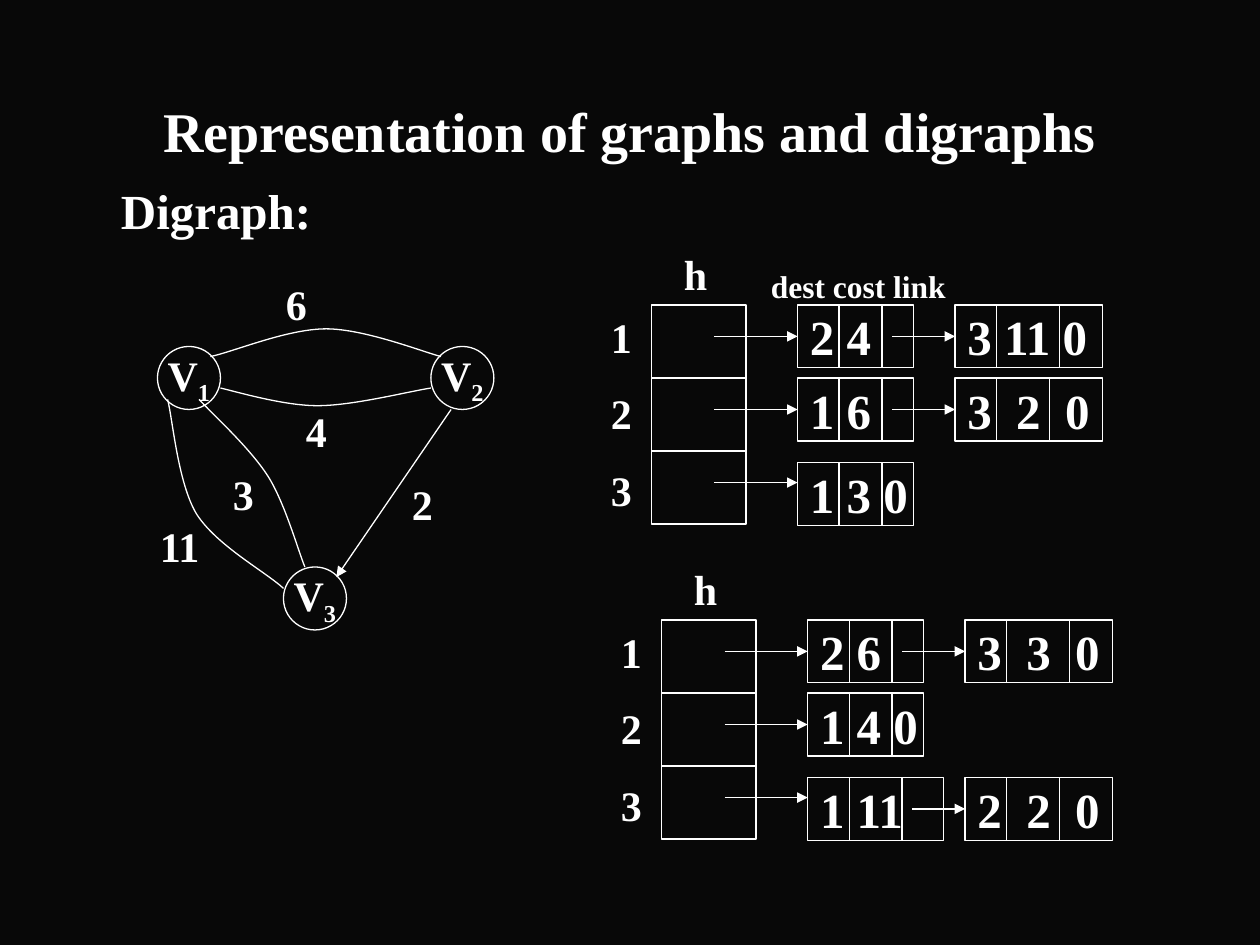
from lxml import etree
from pptx import Presentation, util as u
from pptx.dml import color
from pptx.enum import shapes, text as t
from pptx.oxml import ns

WHITE = "FFFFFF"
BLACK = "080808"
FONT = "Times New Roman"
NODE = 0.5
CELL_WIDTH, CELL_HEIGHT = 0.75, 0.58
ROW_TOPS = (0.5, 1.08, 1.75)
COLUMN_LEFTS = (1.58, 2.83)
NARROW, MEDIUM, WIDE = 0.92, 1.08, 1.17


def rgb(value):
    """Turn a hex string into a colour."""
    return color.RGBColor.from_string(value)


def add_child(parent, tag, **attributes):
    """Append a drawing element to an XML parent."""
    return etree.SubElement(parent, ns.qn(tag), attributes)


def write(frame, content, size=24, align=t.PP_ALIGN.LEFT, anchor=t.MSO_ANCHOR.TOP,
          gap=0, wrap=True, subscript="", tracking=0, margins=(0.1, 0.05, 0, 0.05)):
    """Fill a text frame with bold lines in one format."""
    frame.word_wrap = wrap
    frame.auto_size = t.MSO_AUTO_SIZE.NONE
    frame.vertical_anchor = anchor
    (frame.margin_left, frame.margin_top,
     frame.margin_right, frame.margin_bottom) = map(u.Inches, margins)
    for index, line in enumerate(content.split("\n")):
        paragraph = frame.paragraphs[0] if index == 0 else frame.add_paragraph()
        paragraph.alignment = align
        paragraph.space_before = u.Pt(gap if index else 0)
        properties = paragraph._p.get_or_add_pPr()
        properties.set("marL", "0")
        properties.set("indent", "0")
        add_child(properties, "a:buNone")
        for part in filter(None, (line, subscript)):
            run = paragraph.add_run()
            run.text = part
            run.font.name = FONT
            run.font.size = u.Pt(size)
            run.font.bold = True
            run.font.color.rgb = rgb(WHITE)
            if tracking:
                run._r.get_or_add_rPr().set("spc", str(int(tracking * 100)))
        if subscript:
            run._r.get_or_add_rPr().set("baseline", "-25000")


def place(shape, left, top, width, height):
    """Move and size a shape."""
    shape.left, shape.top, shape.width, shape.height = map(
        u.Inches, (left, top, width, height))


def add_label(slide, left, top, width, content, height=0.5, **style):
    """Add a text box."""
    box = slide.shapes.add_textbox(*map(u.Inches, (left, top, width, height)))
    write(box.text_frame, content, **style)


def outline(shape):
    """Give a shape a thin white outline only."""
    shape.shadow.inherit = False
    shape.fill.background()
    shape.line.color.rgb = rgb(WHITE)
    shape.line.width = u.Pt(0.75)


def add_outline(slide, kind, left, top, width, height):
    """Add an unfilled preset shape."""
    shape = slide.shapes.add_shape(kind, *map(u.Inches, (left, top, width, height)))
    outline(shape)
    return shape


def add_line(slide, start, end, arrow=False):
    """Add a straight line, with an arrowhead at its end if wanted."""
    line = slide.shapes.add_connector(
        shapes.MSO_CONNECTOR.STRAIGHT, *map(u.Inches, (*start, *end)))
    line.line.color.rgb = rgb(WHITE)
    line.line.width = u.Pt(0.75)
    if arrow:
        add_child(line.line._get_or_add_ln(), "a:tailEnd", type="triangle")
    add_child(line._element.spPr, "a:effectLst")


def add_curve(slide, left, top, controls):
    """Draw a chain of cubic curves through its control points."""
    start, *points = [(u.Inches(left + x), u.Inches(top + y)) for x, y in controls]
    builder = slide.shapes.build_freeform(*start)
    builder.add_line_segments(points, close=False)
    shape = builder.convert_to_shape()
    segments = list(shape._element.iter(ns.qn("a:lnTo")))
    outline_path = segments[0].getparent()
    for first in range(0, len(segments), 3):
        curve = add_child(outline_path, "a:cubicBezTo")
        for segment in segments[first:first + 3]:
            curve.append(segment[0])
            outline_path.remove(segment)
    outline(shape)


def add_digraph(slide, left, top):
    """Draw the weighted digraph."""
    vertices = ((0, 0.5), (2.17, 0.5), (1, 2.25))
    edges = (
        ((0.5, 0.83), (0.63, 0.86), (1, 0.97), (1.27, 0.97),
         (1.55, 0.97), (1.98, 0.86), (2.17, 0.83)),
        ((2.25, 0.58), (2.1, 0.54), (1.64, 0.36), (1.34, 0.36),
         (1.03, 0.36), (0.61, 0.54), (0.42, 0.58)),
        ((0.08, 0.92), (0.12, 1.07), (0.16, 1.58), (0.31, 1.83),
         (0.47, 2.08), (0.86, 2.29), (1, 2.42)),
        ((1.17, 2.25), (1.12, 2.13), (1.02, 1.77), (0.89, 1.55),
         (0.75, 1.32), (0.45, 1.05), (0.33, 0.92)),
    )
    costs = (("11", -0.08, 1.83), ("3", 0.5, 1.42), ("4", 1.08, 0.92),
             ("6", 0.92, -0.09), ("2", 1.92, 1.5))
    for number, (x, y) in enumerate(vertices, 1):
        vertex = add_outline(slide, shapes.MSO_SHAPE.OVAL, left + x, top + y, NODE, NODE)
        write(vertex.text_frame, "V", subscript=str(number), wrap=False,
              align=t.PP_ALIGN.CENTER, anchor=t.MSO_ANCHOR.MIDDLE,
              margins=(0.1, 0.05, 0.1, 0.05))
    for controls in edges:
        add_curve(slide, left, top, controls)
    add_line(slide, (left + 2.33, top + 1), (left + 1.42, top + 2.33), arrow=True)
    for cost, x, y in costs:
        add_label(slide, left + x, top + y, 0.75, cost)


def add_node(slide, left, top, width, content, dividers, tracking=0):
    """Draw one list node with its field dividers."""
    box = add_outline(slide, shapes.MSO_SHAPE.RECTANGLE, left, top, width, NODE)
    write(box.text_frame, content, size=28, anchor=t.MSO_ANCHOR.MIDDLE,
          tracking=tracking)
    for x in dividers:
        add_line(slide, (left + x, top), (left + x, top + NODE))


def add_adjacency_list(slide, left, top, rows):
    """Draw the header array and the linked nodes of each row."""
    add_label(slide, left, top + 0.5, 0.5, "1\n2\n3", height=1.72, gap=15)
    add_label(slide, left + 0.58, top, 0.5, "h")
    for index, (row_top, nodes) in enumerate(zip(ROW_TOPS, rows)):
        cell_top = top + 0.5 + index * CELL_HEIGHT
        add_outline(slide, shapes.MSO_SHAPE.RECTANGLE, left + 0.42, cell_top,
                    CELL_WIDTH, CELL_HEIGHT)
        arrow_left, arrow_top = left + 0.92, cell_top + 0.25
        for column, (width, content, dividers, *tracking) in zip(COLUMN_LEFTS, nodes):
            node_left = left + column
            add_node(slide, node_left, top + row_top, width, content, dividers, *tracking)
            add_line(slide, (arrow_left, arrow_top), (node_left, arrow_top), arrow=True)
            arrow_left = node_left + dividers[-1] + 0.08
            arrow_top = top + row_top + NODE / 2


def main():
    """Build and save the slide."""
    presentation = Presentation()
    presentation.slide_width, presentation.slide_height = u.Inches(10), u.Inches(7.5)
    slide = presentation.slides.add_slide(presentation.slide_layouts[1])
    slide.background.fill.solid()
    slide.background.fill.fore_color.rgb = rgb(BLACK)

    title, body = slide.placeholders
    place(title, 0.75, 0.66, 8.5, 0.75)
    write(title.text_frame, "Representation of graphs and digraphs", size=32,
          align=t.PP_ALIGN.CENTER, anchor=t.MSO_ANCHOR.MIDDLE,
          margins=(0.1, 0.05, 0.1, 0.05))
    place(body, 0.75, 1.33, 8.5, 5.92)
    write(body.text_frame, "Digraph:", size=28, margins=(0.21, 0.1, 0.1, 0.05))

    add_digraph(slide, 1.25, 2.25)
    thirds, late, early = (0.33, 0.67), (0.33, 0.83), (0.33, 0.75)
    spread = 3.5
    add_adjacency_list(slide, 4.75, 1.92, (
        ((NARROW, "2 4", thirds), (WIDE, "3 11 0", late)),
        ((NARROW, "1 6", thirds), (WIDE, "3 2 0", early, spread)),
        ((NARROW, "1 3 0", thirds),),
    ))
    add_label(slide, 6.02, 2.07, 1.9, "dest cost link", size=18)
    add_adjacency_list(slide, 4.83, 4.42, (
        ((NARROW, "2 6", thirds), (WIDE, "3 3 0", late, spread)),
        ((NARROW, "1 4 0", thirds),),
        ((MEDIUM, "1 11", early), (WIDE, "2 2 0", early, spread)),
    ))
    presentation.save("out.pptx")


if __name__ == "__main__":
    main()
